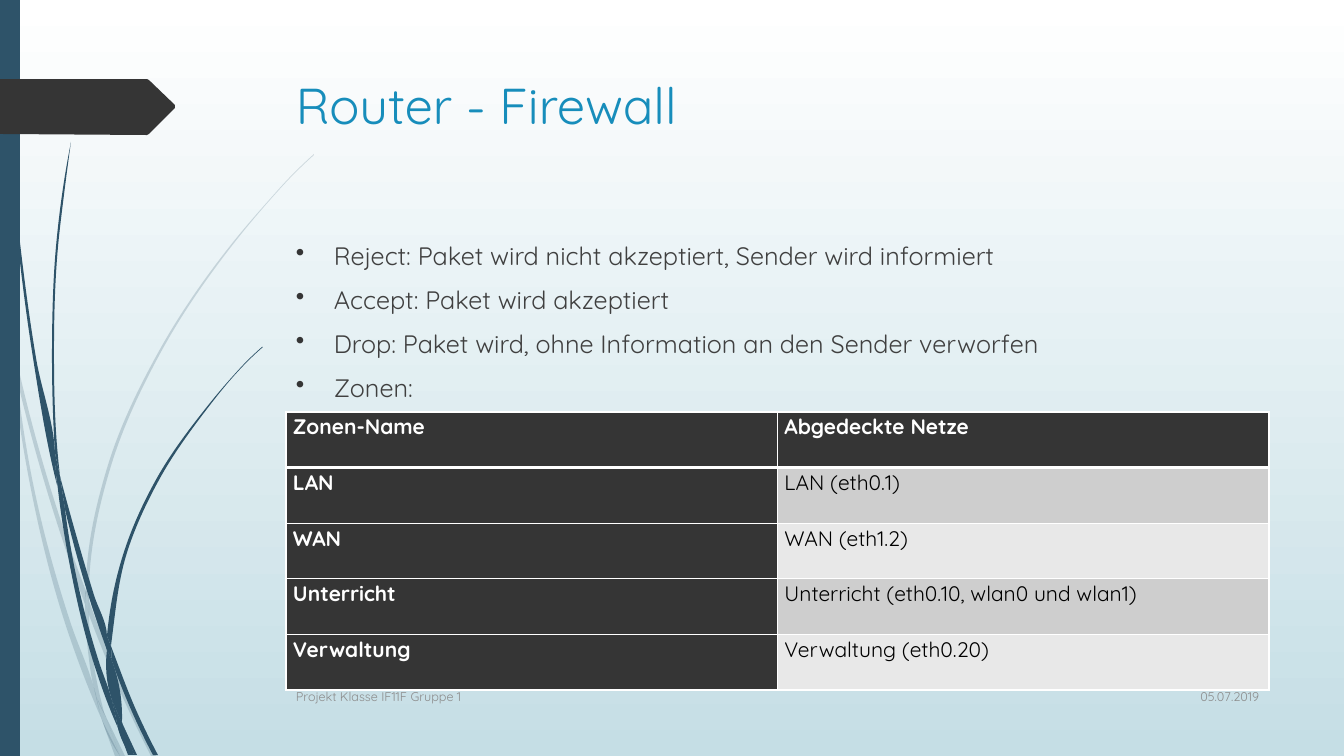
from dataclasses import dataclass

from lxml.etree import Element, SubElement
from pptx import Presentation
from pptx.dml.color import RGBColor
from pptx.enum.shapes import MSO_SHAPE
from pptx.enum.text import MSO_ANCHOR, PP_ALIGN
from pptx.oxml import parse_xml
from pptx.oxml.ns import nsdecls, qn
from pptx.util import Emu, Pt

SCALE = 914400 / 100.8


@dataclass(frozen=True)
class Theme:
    font: str = "Quicksand"
    blue: str = "2E5369"
    dark: str = "353535"
    title: str = "178DBB"
    body: str = "404040"
    muted: str = "8C8C8C"
    white: str = "FFFFFF"
    black: str = "000000"
    sky: str = "C5DEE5"
    bands: tuple = ("CECECE", "E8E8E8")
    title_size: int = 36
    body_size: int = 18
    table_size: int = 15
    footer_size: int = 9


T = Theme()

PALE_GRASS = [
    ([(11, 353), (9, 325), (0, 284)], [(0, 301), (10, 347)]),
    ([(17, 379), (58, 526), (85, 604)], [(86, 591), (62, 524), (14, 348)]),
    ([(89, 601), (93, 612), (128, 698), (156, 756)], [(151, 756), (124, 700), (89, 615)]),
    ([(106, 717), (120, 756)], [(125, 756)]),
    ([(11, 353), (28, 474), (66, 626), (93, 699), (102, 720)],
     [(100, 713), (94, 688), (71, 624), (31, 473), (17, 379)]),
    ([(85, 604), (88, 651), (94, 688), (97, 698), (106, 717)],
     [(104, 712), (92, 651), (89, 615), (89, 613)]),
    ([(89, 601), (89, 589), (111, 466), (161, 352), (231, 247), (270, 200), (292, 176), (314, 155)],
     [(314, 154), (291, 176), (270, 199), (230, 246), (159, 351), (108, 465), (86, 589), (86, 591)]),
    ([(102, 720), (115, 756)], [(120, 756)]),
    ([(89, 613), (89, 615)], [(89, 601), (86, 591), (85, 604)]),
    ([(94, 688), (100, 713), (102, 720), (120, 756)], [(106, 717), (97, 698)]),
]
DARK_GRASS = [
    ([(3, 0), (4, 48), (7, 111), (17, 235), (33, 358), (56, 481), (57, 485)],
     [(55, 461), (55, 457), (36, 358), (19, 234), (8, 110), (5, 48), (4, 0)]),
    ([(65, 509), (89, 597), (107, 650)], [(107, 638), (107, 636), (94, 595), (60, 476)]),
    ([(111, 646), (114, 654), (137, 712), (158, 755)], [(153, 755), (133, 714), (112, 661)]),
    ([(57, 481), (69, 561), (94, 664), (112, 714), (118, 728)],
     [(117, 723), (111, 697), (99, 662), (73, 560), (65, 509)]),
    ([(60, 476), (58, 457), (54, 352), (58, 247), (64, 195), (71, 142)],
     [(71, 142), (62, 195), (56, 247), (52, 352), (55, 453)]),
    ([(123, 725), (134, 755)], [(137, 755)]),
    ([(55, 453), (55, 457), (57, 481), (65, 509)], [(60, 476)]),
    ([(111, 646), (112, 638), (126, 556), (159, 480), (207, 409), (233, 377), (247, 362), (263, 347)],
     [(262, 347), (247, 361), (233, 376), (206, 408), (157, 478), (123, 555), (107, 636)]),
    ([(118, 728), (128, 755)], [(132, 755)]),
    ([(107, 650), (111, 697), (117, 712), (123, 725)], [(122, 722), (112, 661), (110, 656)]),
    ([(107, 636), (107, 650), (110, 656), (112, 661)], [(111, 646)]),
    ([(111, 697), (117, 723), (118, 728), (131, 755)], [(134, 755), (123, 725), (117, 712)]),
]
ARROW = [(0, 79), (147, 79), (149, 80), (175, 105), (175, 108), (149, 134), (147, 135), (0, 134)]
BULLETS = [
    "Reject: Paket wird nicht akzeptiert, Sender wird informiert",
    "Accept: Paket wird akzeptiert",
    "Drop: Paket wird, ohne Information an den Sender verworfen",
    "Zonen:",
]
ZONES = [
    ("Zonen-Name", "Abgedeckte Netze"),
    ("LAN", "LAN (eth0.1)"),
    ("WAN", "WAN (eth1.2)"),
    ("Unterricht", "Unterricht (eth0.10, wlan0 und wlan1)"),
    ("Verwaltung", "Verwaltung (eth0.20)"),
]


def px(n):
    return Emu(round(n * SCALE))


def assign(obj, values):
    for name, value in values.items():
        setattr(obj, name, value)


def paint(sp, color, alpha=None):
    sp.shadow.inherit = False
    sp.fill.solid()
    sp.fill.fore_color.rgb = RGBColor.from_string(color)
    sp.line.fill.background()
    if alpha:
        clr = sp._element.spPr.find(qn("a:solidFill"))[0]
        SubElement(clr, qn("a:alpha"), val=str(alpha * 1000))


def edge_handles(knots):
    pts = [complex(*k) for k in knots]
    if len(pts) < 3:
        return [None] * (len(pts) - 1)
    gaps = [abs(b - a) for a, b in zip(pts, pts[1:])]
    dirs = [(b - a) / g for a, b, g in zip(pts, pts[1:], gaps)]
    inner = [(dirs[i] * gaps[i + 1] + dirs[i + 1] * gaps[i]) / (gaps[i] + gaps[i + 1])
             for i in range(len(dirs) - 1)]
    slopes = [2 * dirs[0] - inner[0], *inner, 2 * dirs[-1] - inner[-1]]
    return [(pts[i] + slopes[i] * g / 3, pts[i + 1] - slopes[i + 1] * g / 3)
            for i, g in enumerate(gaps)]


def add_outline(shapes, points, color, alpha=None):
    points = [(px(x), px(y)) for x, y in points]
    builder = shapes.build_freeform(*points[0], scale=1.0)
    builder.add_line_segments(points[1:], close=True)
    sp = builder.convert_to_shape()
    paint(sp, color, alpha)
    return sp


def bend(sp, handles):
    segments = list(sp._element.iter(qn("a:lnTo")))
    for segment, pair in zip(segments, handles):
        if pair:
            segment.tag = qn("a:cubicBezTo")
            for i, z in enumerate(pair):
                x, y = px(z.real) - sp.left, px(z.imag) - sp.top
                segment.insert(i, Element(qn("a:pt"), x=str(x), y=str(y)))


def add_grass(s, blades, alpha=None):
    group = s.shapes.add_group_shape()
    for left, right in blades:
        sp = add_outline(group.shapes, left + right, T.blue, alpha)
        bend(sp, [*edge_handles(left), None, *edge_handles(right)])


def add_run(p, text, size, color, bold=False):
    r = p.add_run()
    r.text = text
    assign(r.font, {"name": T.font, "size": Pt(size), "bold": bold})
    r.font.color.rgb = RGBColor.from_string(color)


def add_text(s, box, lines, size, color, anchor=MSO_ANCHOR.TOP, align=PP_ALIGN.LEFT, bullet=False):
    tf = s.shapes.add_textbox(*map(px, box)).text_frame
    assign(tf, {"word_wrap": True, "vertical_anchor": anchor})
    for i, line in enumerate(lines):
        p = tf.add_paragraph() if i else tf.paragraphs[0]
        p.alignment = align
        add_run(p, line, size, color)
        if bullet:
            p.space_before = Pt(10)
            pPr = p._p.get_or_add_pPr()
            pPr.set("marL", str(px(38)))
            pPr.set("indent", str(-px(38)))
            SubElement(SubElement(pPr, qn("a:buClr")), qn("a:srgbClr"), val=T.dark)
            SubElement(pPr, qn("a:buChar"), char="•")


def add_borders(cell, top, bottom):
    tcPr = cell._tc.get_or_add_tcPr()
    for side, width in {"L": 1, "R": 1, "T": top, "B": bottom}.items():
        tcPr.append(parse_xml(
            f'<a:ln{side} {nsdecls("a")} w="{Pt(width)}"><a:solidFill>'
            f'<a:srgbClr val="{T.white}"/></a:solidFill></a:ln{side}>'))


def add_zone_table(s, box, rows):
    table = s.shapes.add_table(len(rows), 2, *map(px, box)).table
    for i, row in enumerate(rows):
        for j, text in enumerate(row):
            cell = table.cell(i, j)
            head = i == 0 or j == 0
            assign(cell, {"margin_left": px(7), "margin_right": px(7),
                          "margin_top": 0, "margin_bottom": 0})
            add_borders(cell, 3 if i == 1 else 1, 3 if i == 0 else 1)
            cell.fill.solid()
            fill = T.dark if head else T.bands[(i - 1) % 2]
            cell.fill.fore_color.rgb = RGBColor.from_string(fill)
            p = cell.text_frame.paragraphs[0]
            p.line_spacing = 1.07
            add_run(p, text, T.table_size, T.white if head else T.black, head)


def set_background(s):
    fill = s.background.fill
    fill.gradient()
    fill.gradient_angle = 270
    for stop, color, position in zip(fill.gradient_stops, (T.white, T.sky), (0, 1)):
        stop.color.rgb = RGBColor.from_string(color)
        stop.position = position


def main():
    prs = Presentation()
    assign(prs, {"slide_width": px(1344), "slide_height": px(756)})
    s = prs.slides.add_slide(prs.slide_layouts[6])
    set_background(s)
    add_grass(s, PALE_GRASS, alpha=20)
    add_grass(s, DARK_GRASS)
    paint(s.shapes.add_shape(MSO_SHAPE.RECTANGLE, *map(px, (0, 0, 20, 756))), T.blue)
    add_outline(s.shapes, ARROW, T.dark)
    add_text(s, (286, 69, 983, 141), ["Router - Firewall"], T.title_size, T.title)
    add_text(s, (286, 235, 983, 416), BULLETS, T.body_size, T.body, bullet=True)
    add_text(s, (1143, 676, 126, 41), ["05.07.2019"], T.footer_size, T.muted,
             MSO_ANCHOR.MIDDLE, PP_ALIGN.RIGHT)
    add_text(s, (286, 677, 840, 40), ["Projekt Klasse IF11F Gruppe 1"], T.footer_size, T.muted,
             MSO_ANCHOR.MIDDLE)
    add_zone_table(s, (286, 412, 983, 278), ZONES)
    prs.save("out.pptx")


main()
